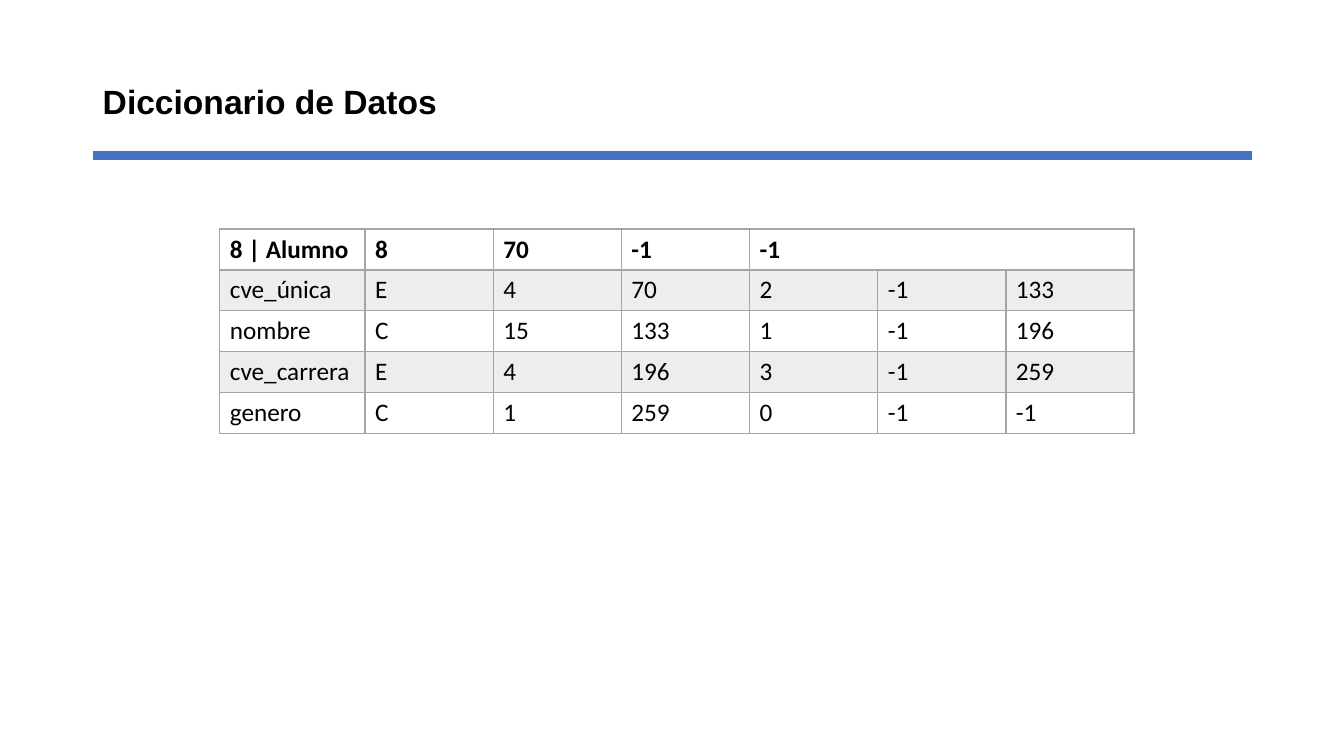
from dataclasses import dataclass
from typing import Any

from lxml.etree import SubElement as Sub
from pptx import Presentation
from pptx.dml.color import RGBColor as Rgb
from pptx.enum.shapes import MSO_CONNECTOR as Link
from pptx.enum.text import MSO_ANCHOR as Anchor, PP_ALIGN as Align
from pptx.oxml.ns import qn
from pptx.util import Cm, Pt

COLORS = {"text": "000000", "rule": "4472C4", "grid": "A5A5A5",
          "band": "EDEDED", "plain": "FFFFFF"}
LEFT, WIDTH = 2.34, 29.21
FIRST, OTHER, HEIGHT = 3.66, 3.23, 1.03


@dataclass
class Row:
    cells: list[str]
    fill: str = "plain"
    bold: bool = False
    base: float = 1


ROWS = [
    Row(["8 | Alumno", "8", "70", "-1", "-1"], bold=True, base=2),
    Row(["cve_única", "E", "4", "70", "2", "-1", "133"], "band"),
    Row(["nombre", "C", "15", "133", "1", "-1", "196"]),
    Row(["cve_carrera", "E", "4", "196", "3", "-1", "259"], "band"),
    Row(["genero", "C", "1", "259", "0", "-1", "-1"]),
]


def color(name: str) -> Rgb:
    return Rgb.from_string(COLORS[name])


def apply(item: Any, form: dict[str, Any]) -> None:
    for name, value in form.items():
        setattr(item, name, value)


def write(par: Any, text: str, form: dict[str, Any]) -> None:
    run = par.add_run()
    run.text = text
    apply(run.font, form)
    run.font.color.rgb = color("text")


def edge(cell: Any, base: float) -> None:
    """Draw the four borders of a cell; the bottom one has its own width."""
    props = cell._tc.get_or_add_tcPr()
    for side in "LRTB":
        width = base if side == "B" else 1
        line = Sub(props, qn(f"a:ln{side}"), w=str(Pt(width)))
        fill = Sub(line, qn("a:solidFill"))
        Sub(fill, qn("a:srgbClr"), val=COLORS["grid"])


def add_title(slide: Any) -> None:
    box = slide.shapes.add_textbox(Cm(LEFT), Cm(1.78), Cm(WIDTH), Cm(1.65))
    frame = box.text_frame
    apply(frame, {"word_wrap": True, "vertical_anchor": Anchor.MIDDLE})
    par = frame.paragraphs[0]
    apply(par, {"alignment": Align.JUSTIFY, "line_spacing": 0.9})
    write(par, "Diccionario de Datos",
          {"name": "Arial", "size": Pt(24), "bold": True})


def add_rule(slide: Any) -> None:
    top = Cm(3.92)
    rule = slide.shapes.add_connector(
        Link.STRAIGHT, Cm(LEFT), top, Cm(LEFT + WIDTH), top)
    rule.line.color.rgb = color("rule")
    rule.line.width = Pt(6)
    Sub(rule._element.spPr, qn("a:effectLst"))


def add_grid(slide: Any) -> None:
    count = max(len(row.cells) for row in ROWS)
    table = slide.shapes.add_table(
        len(ROWS), count, Cm(5.54), Cm(5.77),
        Cm(FIRST + OTHER * (count - 1)), Cm(HEIGHT * len(ROWS))).table
    apply(table, {"first_row": False, "horz_banding": False})
    for col, item in enumerate(table.columns):
        item.width = Cm(OTHER if col else FIRST)
    for line, row in zip(table.rows, ROWS):
        line.height = Cm(HEIGHT)
        cells = list(line.cells)
        for cell in cells:
            edge(cell, row.base)
            cell.fill.solid()
            cell.fill.fore_color.rgb = color(row.fill)
        for cell, text in zip(cells, row.cells):
            write(cell.text_frame.paragraphs[0], text,
                  {"name": "Calibri", "size": Pt(18), "bold": row.bold})
        last = len(row.cells) - 1
        if last < count - 1:
            cells[last].merge(cells[-1])


def main() -> None:
    deck = Presentation()
    apply(deck, {"slide_width": Cm(33.87), "slide_height": Cm(19.05)})
    slide = deck.slides.add_slide(deck.slide_layouts[6])
    add_rule(slide)
    add_grid(slide)
    add_title(slide)
    deck.save("out.pptx")


if __name__ == "__main__":
    main()
